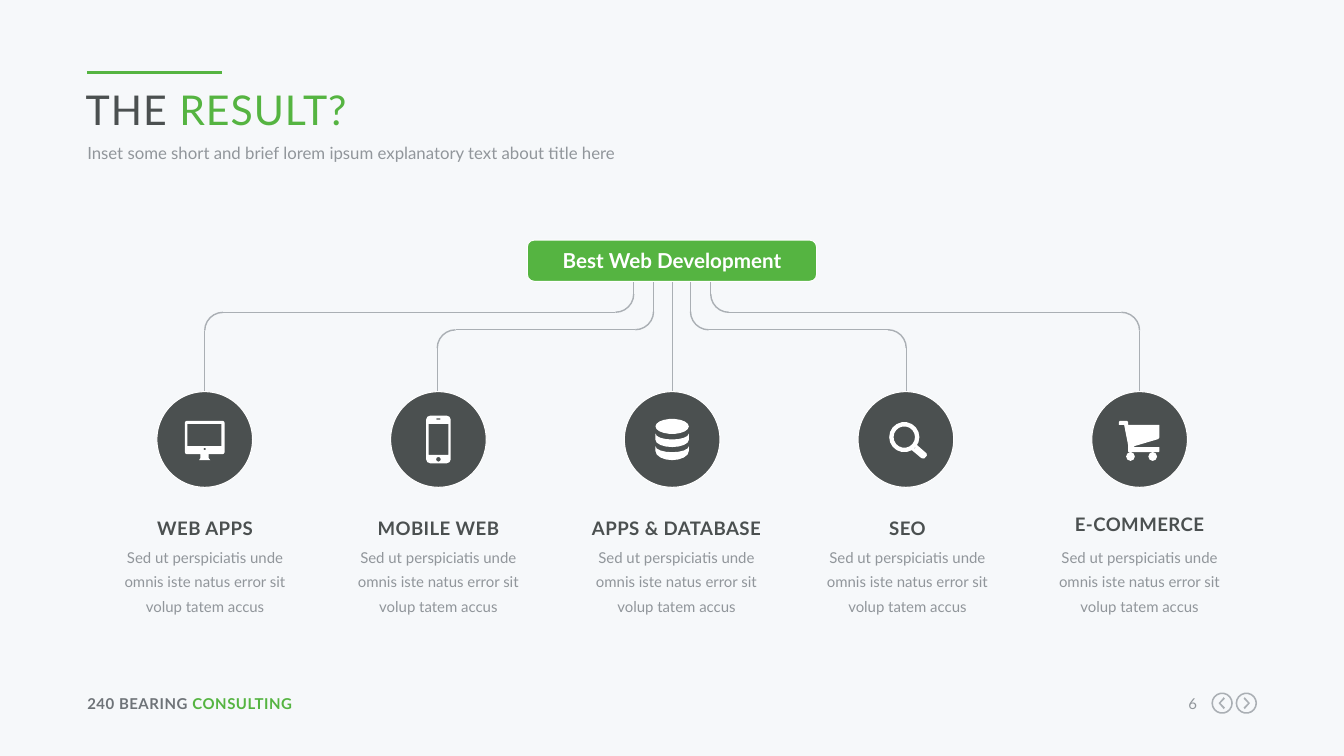
from math import cos, pi, sin

from lxml.etree import SubElement
from pptx import Presentation
from pptx.dml.color import RGBColor
from pptx.enum.shapes import MSO_CONNECTOR as CONN, MSO_SHAPE as SHAPE
from pptx.enum.text import MSO_ANCHOR as ANCHOR, PP_ALIGN as ALIGN
from pptx.oxml.ns import qn
from pptx.util import Cm, Pt

BACKGROUND = RGBColor(0xF6, 0xF8, 0xFA)
GREEN = RGBColor(0x55, 0xB4, 0x41)
DARK = RGBColor(0x4B, 0x50, 0x50)
SLATE = RGBColor(0x6E, 0x73, 0x78)
GRAY = RGBColor(0x91, 0x96, 0x9B)
LINE = RGBColor(0xAA, 0xAF, 0xB4)
WHITE = RGBColor(0xFF, 0xFF, 0xFF)
FONT = "Lato"

TITLE = [("THE ", DARK), ("RESULT?", GREEN)]
SUBTITLE = "Inset some short and brief lorem ipsum explanatory text about title here"
FOOTER = [("240 BEARING ", SLATE), ("CONSULTING", GREEN)]
PAGE = "6"
ROOT = "Best Web Development"
BLURB = "Sed ut perspiciatis unde omnis iste natus error sit volup tatem accus"

MONITOR = [
    ("rect", -0.5, -0.47, 1, 0.84, 0.05),
    ("rect", -0.44, -0.39, 0.86, 0.56, 0),
    ("oval", 0, 0.24, 0.03, 0.03),
    ("poly", (-0.11, 0.37), (0.1, 0.37), (0.1, 0.47), (0.14, 0.52), (-0.14, 0.52), (-0.11, 0.47)),
]
PHONE = [
    ("rect", -0.31, -0.6, 0.62, 1.2, 0.1),
    ("rect", -0.25, -0.39, 0.5, 0.78, 0),
    ("oval", 0, 0.5, 0.06, 0.06),
    ("rect", -0.05, -0.53, 0.1, 0.03, 0),
]
DATABASE = [
    ("oval", 0, -0.33, 0.42, 0.19),
    ("band", 0.42, -0.15, 0.15, 0.01, 0.18),
    ("band", 0.42, 0.17, 0.15, 0.29, 0.23),
]
SEARCH = [
    ("oval", -0.04, -0.06, 0.38, 0.38),
    ("oval", -0.04, -0.06, 0.27, 0.27),
    ("poly", (0.28, 0.14), (0.52, 0.35), (0.53, 0.4), (0.51, 0.43), (0.46, 0.48),
     (0.39, 0.47), (0.15, 0.27), (0.23, 0.22)),
]
CART = [
    ("oval", -0.23, 0.43, 0.11, 0.11),
    ("oval", 0.33, 0.43, 0.11, 0.11),
    ("poly", (-0.14, 0.17), (0.47, -0.01), (0.5, -0.05), (0.5, -0.37), (-0.29, -0.37),
     (-0.29, -0.44), (-0.32, -0.47), (-0.5, -0.47), (-0.52, -0.44), (-0.52, -0.37),
     (-0.39, -0.37), (-0.29, 0.14), (-0.29, 0.3), (-0.27, 0.32), (0.47, 0.32),
     (0.5, 0.3), (0.5, 0.19), (-0.14, 0.19)),
]
SERVICES = [
    ("WEB APPS", MONITOR, 5.17, 12.93),
    ("MOBILE WEB", PHONE, 11.05, 12.93),
    ("APPS & DATABASE", DATABASE, 17.05, 12.93),
    ("SEO", SEARCH, 22.87, 12.93),
    ("E-COMMERCE", CART, 28.72, 12.83),
]
BRANCHES = [(16.47, 11.02, 8.31), (15.97, 5.16, 7.87), (17.4, 22.84, 8.31), (17.91, 28.72, 7.87)]
NAV = [(30.8, 1), (31.41, -1)]
NAV_Y = 17.72
CHEVRON = [(-0.09, 0), (0.04, -0.15), (0.07, -0.11), (-0.04, 0), (0.07, 0.11), (0.04, 0.15)]

MIDDLE, STEP = 16.94, 5.89
ROOT_BOTTOM, DISC_TOP, DISC = 7.09, 9.87, 2.41
BEND = 0.46
TEXT_W = 4.9

prs = Presentation()
prs.slide_width, prs.slide_height = Cm(33.87), Cm(19.05)
s = prs.slides.add_slide(prs.slide_layouts[6])
s.background.fill.solid()
s.background.fill.fore_color.rgb = BACKGROUND


def write(tf, runs, size, align=ALIGN.LEFT, bold=False, spacing=0, leading=None):
    tf.word_wrap = True
    tf.margin_left = tf.margin_right = tf.margin_top = tf.margin_bottom = 0
    p = tf.paragraphs[0]
    p.alignment = align
    if leading:
        p.line_spacing = Pt(leading)
    for text, color in runs:
        r = p.add_run()
        r.text = text
        r.font.name, r.font.size, r.font.bold = FONT, Pt(size), bold
        r.font.color.rgb = color
        r.font._element.set("spc", str(round(spacing * 100)))


def text(x, y, w, h, runs, size, **style):
    tf = s.shapes.add_textbox(Cm(x), Cm(y), Cm(w), Cm(h)).text_frame
    tf.vertical_anchor = ANCHOR.TOP
    write(tf, runs, size, **style)


def line(x1, y1, x2, y2, color=LINE, width=1):
    c = s.shapes.add_connector(CONN.STRAIGHT, Cm(x1), Cm(y1), Cm(x2), Cm(y2))
    c.line.color.rgb, c.line.width = color, Pt(width)
    SubElement(c._element.spPr, qn("a:effectLst"))


def shape(kind, x, y, w, h, fill, outline, width):
    sp = s.shapes.add_shape(kind, Cm(x), Cm(y), Cm(w), Cm(h))
    sp.shadow.inherit = False
    if fill is None:
        sp.fill.background()
    else:
        sp.fill.solid()
        sp.fill.fore_color.rgb = fill
    sp.line.color.rgb, sp.line.width = outline, Pt(width)
    return sp


def bend(x, y, rotation):
    shape(SHAPE.ARC, x, y, 2 * BEND, 2 * BEND, None, LINE, 1).rotation = rotation


def sweep(x, y, rx, ry, start, end, n):
    angles = [start + (end - start) * i / n for i in range(n + 1)]
    return [(x + rx * cos(a), y + ry * sin(a)) for a in angles]


def outline_points(kind, *args):
    if kind == "oval":
        n = 8 if args[2] < 0.15 else 18
        return sweep(*args, 0, 2 * pi, n)[:-1]
    if kind == "band":
        half, top, top_dip, bottom, bottom_dip = args
        return (sweep(0, top, half, top_dip, pi, 0, 8)
                + sweep(0, bottom, half, bottom_dip, 0, pi, 8))
    if kind == "rect":
        x, y, w, h, r = args
        corners = [(x + w - r, y + h - r), (x + r, y + h - r), (x + r, y + r), (x + w - r, y + r)]
        if not r:
            return corners
        return [pt for i, (cx, cy) in enumerate(corners)
                for pt in sweep(cx, cy, r, r, i * pi / 2, (i + 1) * pi / 2, 2)]
    return args


def icon(cx, cy, parts, color):
    builder = None
    for part in parts:
        pts = [(Cm(cx + x), Cm(cy + y)) for x, y in outline_points(*part)]
        if builder is None:
            builder = s.shapes.build_freeform(*pts[0], scale=1.0)
        else:
            builder.move_to(*pts[0])
        builder.add_line_segments(pts[1:], close=True)
    sp = builder.convert_to_shape()
    sp.shadow.inherit = False
    sp.fill.solid()
    sp.fill.fore_color.rgb = color
    sp.line.fill.background()


line(2.2, 1.83, 5.59, 1.83, GREEN, 2.25)
text(2.16, 2.13, 29.46, 1.42, TITLE, 29.3, spacing=0.7)
text(2.2, 3.54, 29.46, 0.53, [(SUBTITLE, GRAY)], 12, leading=16)
text(2.2, 17.5, 6.6, 0.46, FOOTER, 10.7, bold=True, spacing=0.4)
text(29.41, 17.5, 0.76, 0.46, [(PAGE, GRAY)], 10.7, align=ALIGN.RIGHT, spacing=0.4)
for x, side in NAV:
    arrow = ("poly", *[(side * px, py) for px, py in CHEVRON])
    icon(x, NAV_Y, [("oval", 0, 0, 0.27, 0.27), ("oval", 0, 0, 0.23, 0.23), arrow], LINE)

line(MIDDLE, ROOT_BOTTOM, MIDDLE, DISC_TOP)
for stub, target, level in BRANCHES:
    left = target < stub
    side = -1 if left else 1
    line(stub, ROOT_BOTTOM, stub, level - BEND)
    bend(stub - 2 * BEND * left, level - 2 * BEND, 90 if left else 180)
    line(stub + side * BEND, level, target - side * BEND, level)
    bend(target - 2 * BEND * (not left), level, 270 if left else 0)
    line(target, level + BEND, target, DISC_TOP)

shape(SHAPE.ROUNDED_RECTANGLE, 13.29, 6.05, 7.29, 1.04, GREEN, WHITE, 0.75)
text(13.67, 6.25, 6.53, 0.64, [(ROOT, WHITE)], 14.7, align=ALIGN.CENTER, bold=True)

for i, (name, parts, text_x, name_y) in enumerate(SERVICES):
    cx = MIDDLE + (i - 2) * STEP
    shape(SHAPE.OVAL, cx - DISC / 2, DISC_TOP, DISC, DISC, DARK, WHITE, 0.75)
    icon(cx, DISC_TOP + DISC / 2, parts, WHITE)
    x = text_x - TEXT_W / 2
    text(x, name_y, TEXT_W, 0.61, [(name, DARK)], 13.3,
         align=ALIGN.CENTER, bold=True, spacing=0.3, leading=18.7)
    text(x, 13.67, TEXT_W, 1.75, [(BLURB, GRAY)], 10.7, align=ALIGN.CENTER, leading=17.3)

prs.save("out.pptx")
